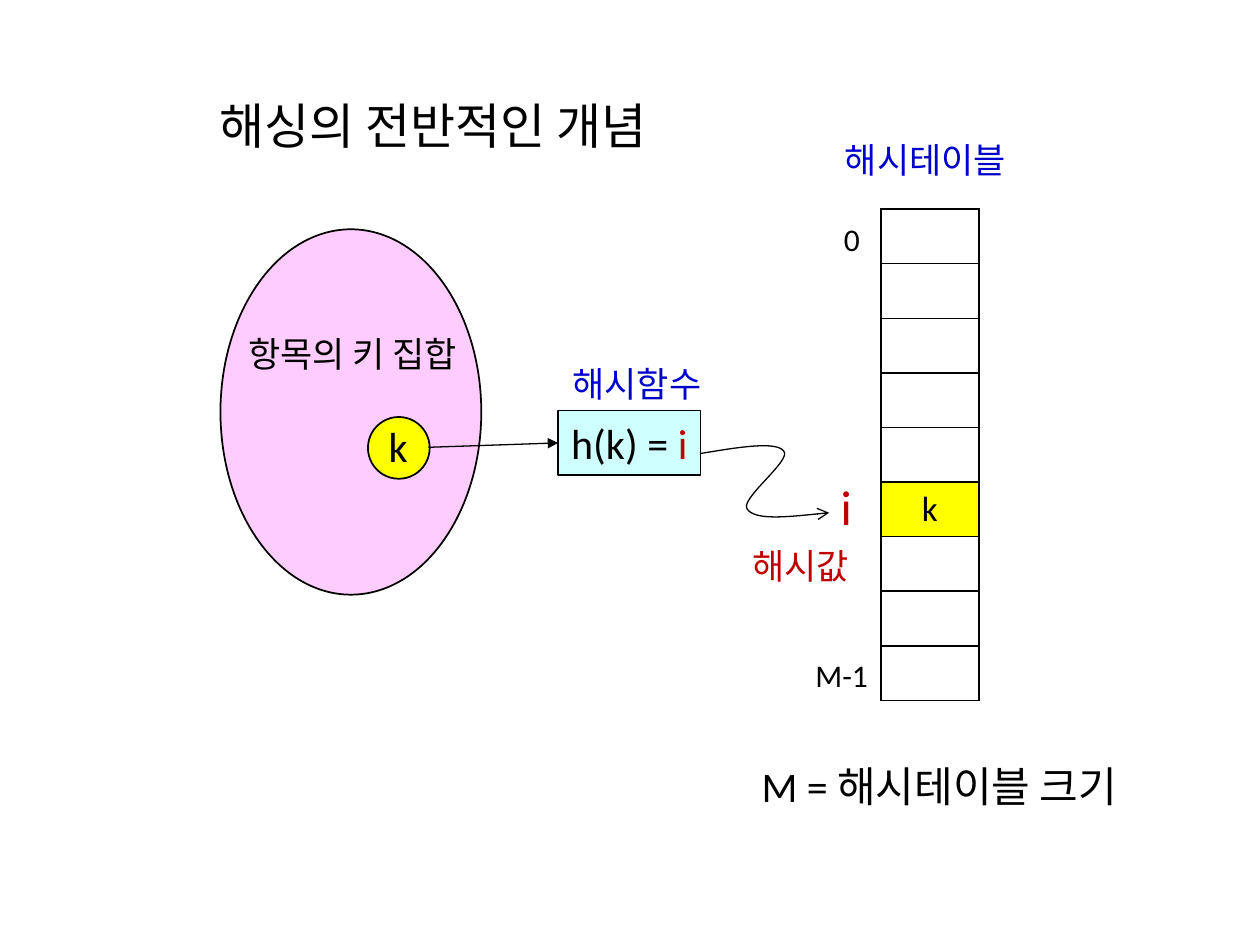
from dataclasses import dataclass

from lxml import etree
from pptx import Presentation
from pptx.dml.color import RGBColor
from pptx.enum.shapes import MSO_CONNECTOR, MSO_SHAPE
from pptx.enum.text import MSO_ANCHOR, MSO_AUTO_SIZE, PP_ALIGN
from pptx.oxml.ns import qn
from pptx.util import Inches, Pt

LEFT, MID = PP_ALIGN.LEFT, PP_ALIGN.CENTER
OVAL, RECT = MSO_SHAPE.OVAL, MSO_SHAPE.RECTANGLE
FIT = MSO_AUTO_SIZE.SHAPE_TO_FIT_TEXT


@dataclass(frozen=True)
class Theme:
    latin: str = "Calibri"
    korean: str = "Noto Sans CJK KR"
    black: str = "000000"
    blue: str = "0000CC"
    red: str = "C00000"
    pink: str = "FFCCFF"
    yellow: str = "FFFF00"
    aqua: str = "CEFFFE"
    title: int = 28
    large: int = 24
    label: int = 20
    index: int = 18


T = Theme()


def rgb(code):
    return RGBColor.from_string(code)


def style(run, size, color, font):
    run.font.size = Pt(size)
    run.font.name = font
    run.font.color.rgb = rgb(color)
    if font == T.korean:
        east = etree.SubElement(run.font._element, qn("a:ea"))
        east.set("typeface", font)


def write(frame, parts, size, font=T.latin, align=MID, wrap=False):
    """Fill a frame with one line made of (text, color) parts."""
    frame.word_wrap = wrap
    frame.auto_size = FIT
    para = frame.paragraphs[0]
    para.alignment = align
    for text, color in parts:
        run = para.add_run()
        run.text = text
        style(run, size, color, font)


def label(slide, box, text, size, color=T.black, **form):
    frame = slide.shapes.add_textbox(*map(Inches, box)).text_frame
    write(frame, [(text, color)], size, **form)


def shape(slide, kind, box, fill, width=1):
    item = slide.shapes.add_shape(kind, *map(Inches, box))
    item.shadow.inherit = False
    item.fill.solid()
    item.fill.fore_color.rgb = rgb(fill)
    item.line.color.rgb = rgb(T.black)
    item.line.width = Pt(width)
    return item


def tip(item, kind):
    """Give a line its color, width and arrowhead."""
    item.line.color.rgb = rgb(T.black)
    item.line.width = Pt(0.75)
    etree.SubElement(item.line._get_or_add_ln(), qn("a:tailEnd")).set("type", kind)


def arrow(slide, start, end, target, side):
    item = slide.shapes.add_connector(
        MSO_CONNECTOR.STRAIGHT, *map(Inches, start + end))
    item.end_connect(target, side)
    tip(item, "triangle")
    etree.SubElement(item._element.spPr, qn("a:effectLst"))


def curve(slide, start, points):
    """Draw a Bezier line; every three points make one segment."""
    pen = slide.shapes.build_freeform(*map(Inches, start))
    pen.add_line_segments([tuple(map(Inches, p)) for p in points], close=False)
    item = pen.convert_to_shape()
    steps = list(item._element.iter(qn("a:lnTo")))
    for i in range(0, len(steps), 3):
        bend = etree.Element(qn("a:cubicBezTo"))
        steps[i].addprevious(bend)
        for step in steps[i:i + 3]:
            bend.append(step[0])
            step.getparent().remove(step)
    item.fill.background()
    item.shadow.inherit = False
    tip(item, "arrow")


def border(cell):
    props = cell._tc.get_or_add_tcPr()
    for i, side in enumerate(("lnL", "lnR", "lnT", "lnB")):
        line = etree.Element(qn("a:" + side), w=str(Pt(1)))
        fill = etree.SubElement(line, qn("a:solidFill"))
        etree.SubElement(fill, qn("a:srgbClr"), val=T.black)
        props.insert(i, line)


def table(slide, box, count, slot, key):
    """Draw a one-column table with the key in one slot."""
    grid = slide.shapes.add_table(count, 1, *map(Inches, box)).table
    grid.first_row = grid.horz_banding = False
    for i in range(count):
        cell = grid.cell(i, 0)
        cell.fill.background()
        border(cell)
    cell = grid.cell(slot, 0)
    cell.fill.solid()
    cell.fill.fore_color.rgb = rgb(T.yellow)
    cell.vertical_anchor = MSO_ANCHOR.MIDDLE
    para = cell.text_frame.paragraphs[0]
    para.text = key
    para.alignment = MID
    style(para.runs[0], T.label, T.black, T.latin)


def main():
    deck = Presentation()
    deck.slide_width, deck.slide_height = Inches(10), Inches(7.5)
    slide = deck.slides.add_slide(deck.slide_layouts[6])

    # Title
    label(slide, (1.64, 0.71, 3.91, 0.57), "해싱의 전반적인 개념", T.title, align=LEFT)

    # Key set
    shape(slide, OVAL, (1.75, 1.82, 2.07, 2.9), T.pink)
    shape(slide, OVAL, (2.92, 3.31, 0.49, 0.49), T.yellow)
    label(slide, (2.98, 3.29, 0.36, 0.51), "k", T.large)
    label(slide, (1.76, 2.59, 2.08, 0.44), "항목의 키 집합", T.label, font=T.korean)

    # Hash function
    label(slide, (4.39, 2.83, 1.33, 0.44), "해시함수", T.label, T.blue, font=T.korean)
    func = shape(slide, RECT, (4.43, 3.26, 1.13, 0.51), T.aqua, 0.75)
    write(func.text_frame, [("h(k) = ", T.black), ("i", T.red)], T.large)

    # Hash table
    label(slide, (6.54, 1.05, 1.61, 0.44), "해시테이블", T.label, T.blue, font=T.korean)
    table(slide, (6.99, 1.66, 0.78, 3.9), 9, 5, "k")
    label(slide, (6.54, 1.7, 0.44, 0.4), "0", T.index, wrap=True)
    label(slide, (6.26, 5.16, 0.84, 0.4), "M-1", T.index, wrap=True)
    label(slide, (5.87, 5.99, 3.32, 0.5), " M = 해시테이블 크기", T.large, align=LEFT)

    # Hash value
    label(slide, (6.57, 3.73, 0.29, 0.57), "i", T.title, T.red)
    label(slide, (5.81, 4.27, 1.09, 0.44), "해시값", T.label, T.red,
          font=T.korean, wrap=True)

    # Flow from key to slot
    arrow(slide, (3.4, 3.55), (4.43, 3.51), func, 1)
    curve(slide, (5.56, 3.6), [
        (5.86, 3.55), (6.16, 3.5), (6.22, 3.58),
        (6.29, 3.65), (5.87, 3.96), (5.93, 4.04),
        (5.99, 4.13), (6.29, 4.1), (6.58, 4.07)])

    deck.save("out.pptx")


if __name__ == "__main__":
    main()
